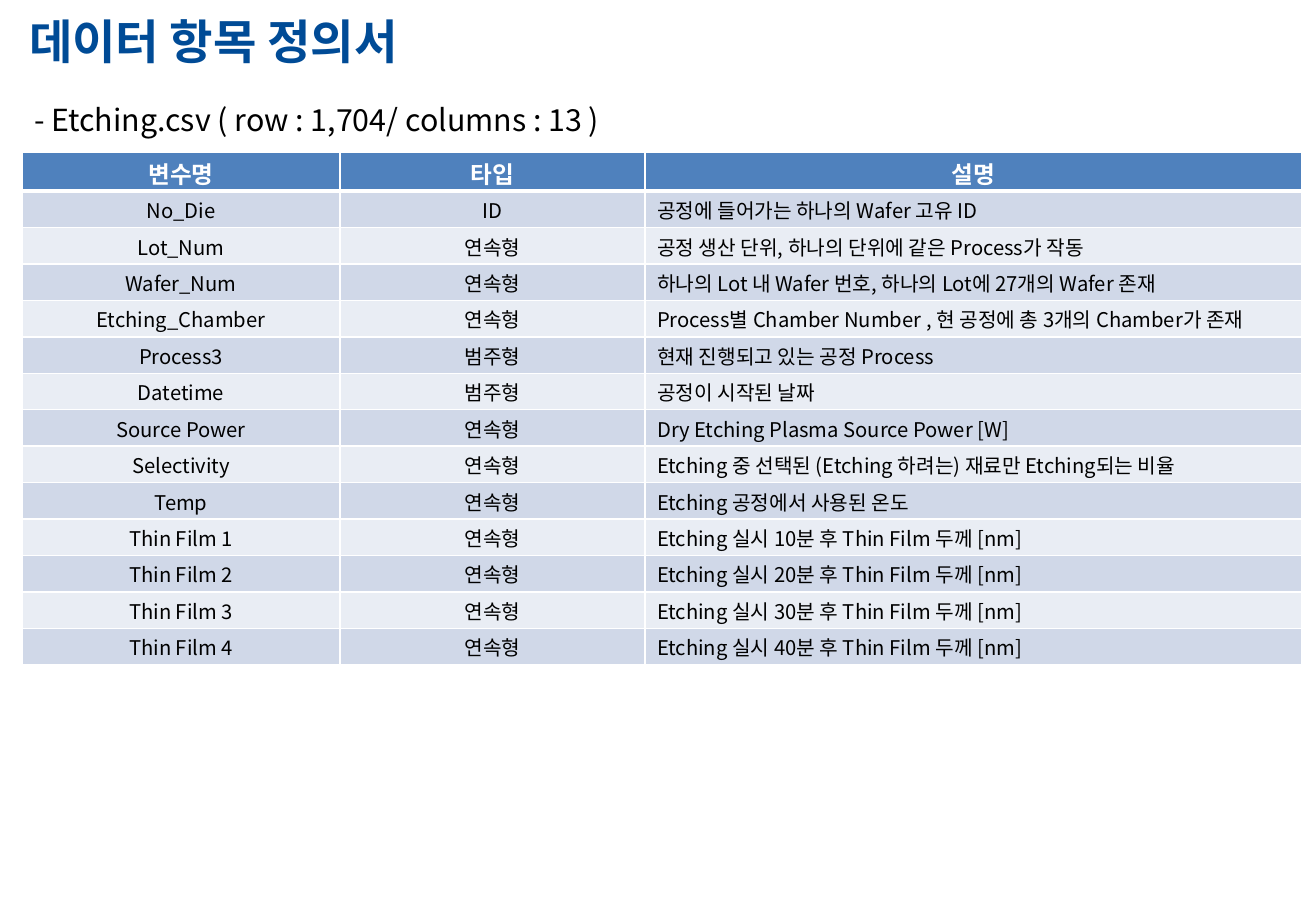
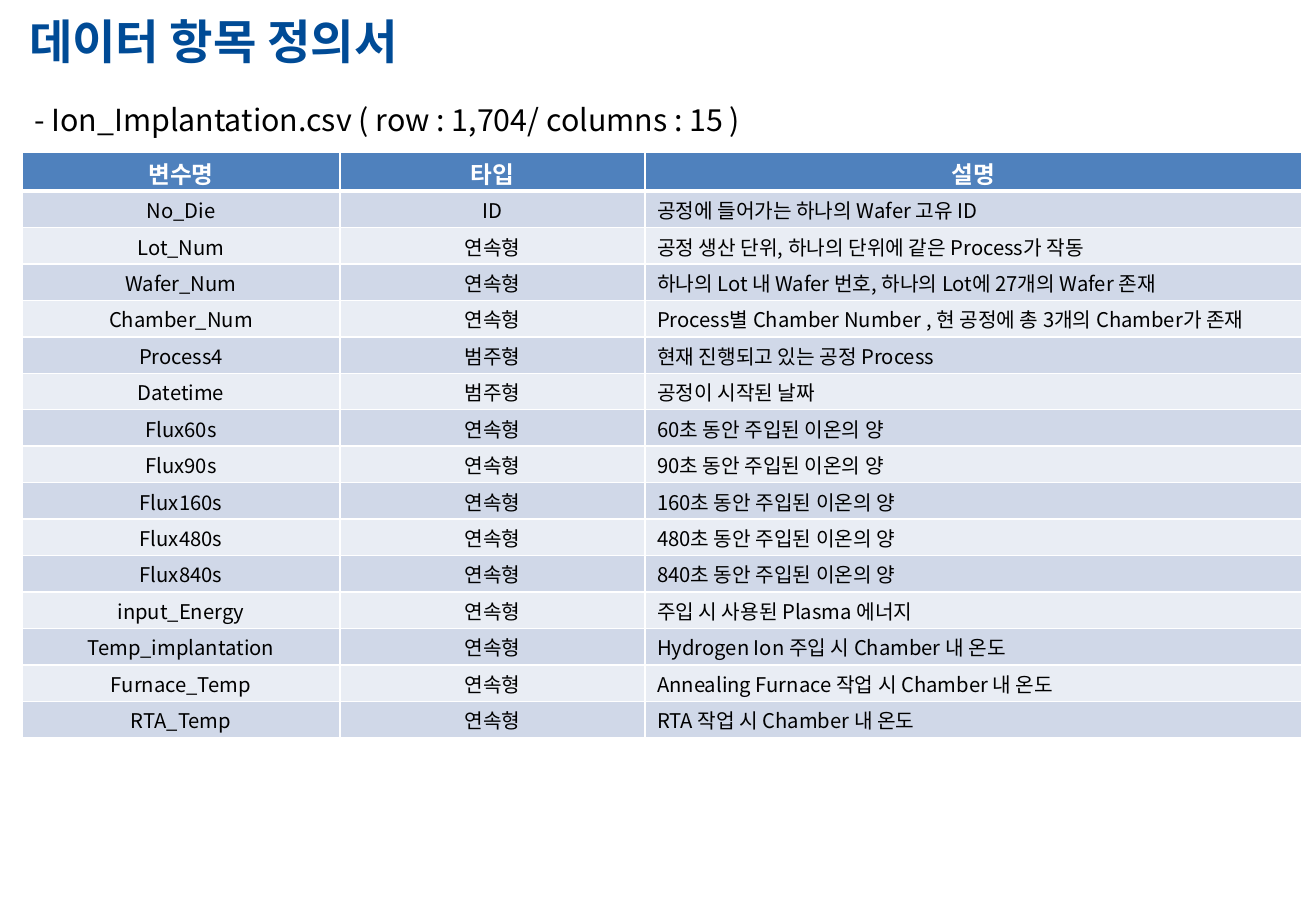
"""Builds two data dictionary slides, one for each process file."""
import dataclasses

import lxml.etree
import pptx
import pptx.dml.color
import pptx.enum.text
import pptx.oxml.ns
import pptx.util

Pt = pptx.util.Pt
ALIGN = pptx.enum.text.PP_ALIGN
MIDDLE = pptx.enum.text.MSO_ANCHOR.MIDDLE


@dataclasses.dataclass(frozen=True)
class Theme:
    """Font, colours and type sizes shared by the slides."""
    font: str = "Noto Sans CJK KR"
    title_color: str = "004B96"
    text_color: str = "000000"
    white: str = "FFFFFF"
    header_fill: str = "4F81BD"
    band_fills: tuple = ("D0D8E8", "E9EDF4")
    title_size: int = 28
    subtitle_size: int = 18
    header_size: int = 14
    cell_size: int = 12
    rule: int = 1
    header_rule: int = 3


THEME = Theme()
TITLE = "데이터 항목 정의서"
HEADER = ("변수명", "타입", "설명")
COLUMN_WIDTHS = (188.6, 180.7, 389.5)
HEADER_HEIGHT, ROW_HEIGHT = 23.3, 21.6
TABLE_LEFT, TABLE_TOP = 13, 90
NUMERIC, CATEGORY = "연속형", "범주형"

ETCHING = [
    ("Source Power", NUMERIC, "Dry Etching Plasma Source Power [W]"),
    ("Selectivity", NUMERIC,
     "Etching 중 선택된 (Etching 하려는) 재료만 Etching되는 비율"),
    ("Temp", NUMERIC, "Etching 공정에서 사용된 온도"),
] + [
    (f"Thin Film {step}", NUMERIC,
     f"Etching 실시 {step * 10}분 후 Thin Film 두께 [nm]")
    for step in range(1, 5)
]

IMPLANTATION = [
    (f"Flux{seconds}s", NUMERIC, f"{seconds}초 동안 주입된 이온의 양")
    for seconds in (60, 90, 160, 480, 840)
] + [
    ("input_Energy", NUMERIC, "주입 시 사용된 Plasma 에너지"),
    ("Temp_implantation", NUMERIC, "Hydrogen Ion 주입 시 Chamber 내 온도"),
    ("Furnace_Temp", NUMERIC, "Annealing Furnace 작업 시 Chamber 내 온도"),
    ("RTA_Temp", NUMERIC, "RTA 작업 시 Chamber 내 온도"),
]


def common_rows(chamber, process):
    """Return the six variables that every process file starts with."""
    return [
        ("No_Die", "ID", "공정에 들어가는 하나의 Wafer 고유 ID"),
        ("Lot_Num", NUMERIC, "공정 생산 단위, 하나의 단위에 같은 Process가 작동"),
        ("Wafer_Num", NUMERIC, "하나의 Lot 내 Wafer 번호, 하나의 Lot에 27개의 Wafer 존재"),
        (chamber, NUMERIC,
         "Process별 Chamber Number , 현 공정에 총 3개의 Chamber가 존재"),
        (process, CATEGORY, "현재 진행되고 있는 공정 Process"),
        ("Datetime", CATEGORY, "공정이 시작된 날짜"),
    ]


def write_text(frame, text, *, size, color=THEME.text_color, bold=False,
               align=ALIGN.LEFT):
    """Write one formatted paragraph into a text frame and return it."""
    para = frame.paragraphs[0]
    para.alignment = align
    para.space_before = Pt(0)
    span = para.add_run()
    span.text = text
    span.font.name = THEME.font
    span.font.size = Pt(size)
    span.font.bold = bold
    span.font.color.rgb = pptx.dml.color.RGBColor.from_string(color)
    east_asian = lxml.etree.SubElement(
        span.font._element, pptx.oxml.ns.qn("a:ea"))
    east_asian.set("typeface", THEME.font)
    return para


def place_heading(box, text, left, top, width, height, **style):
    """Move a placeholder and fill it with one unbulleted line."""
    box.left, box.top = Pt(left), Pt(top)
    box.width, box.height = Pt(width), Pt(height)
    frame = box.text_frame
    frame.auto_size = pptx.enum.text.MSO_AUTO_SIZE.NONE
    frame.word_wrap = True
    frame.vertical_anchor = MIDDLE
    frame.margin_top = frame.margin_bottom = 0
    properties = write_text(frame, text, **style)._p.get_or_add_pPr()
    properties.set("marL", "0")
    properties.set("indent", "0")
    lxml.etree.SubElement(properties, pptx.oxml.ns.qn("a:buNone"))


def set_borders(cell, top, bottom):
    """Give a cell white borders with the top and bottom widths stated."""
    properties = cell._tc.get_or_add_tcPr()
    widths = {"L": THEME.rule, "R": THEME.rule, "T": top, "B": bottom}
    for side, width in widths.items():
        line = lxml.etree.SubElement(
            properties, pptx.oxml.ns.qn(f"a:ln{side}"), w=str(int(Pt(width))))
        fill = lxml.etree.SubElement(line, pptx.oxml.ns.qn("a:solidFill"))
        lxml.etree.SubElement(
            fill, pptx.oxml.ns.qn("a:srgbClr"), val=THEME.white)


def format_cell(cell, text, fill, top, bottom, **style):
    """Write a table cell with its margins, borders and fill."""
    cell.margin_top, cell.margin_bottom = Pt(2.4), Pt(0.4)
    if style["align"] == ALIGN.LEFT:
        cell.margin_right = 0
    set_borders(cell, top, bottom)
    cell.fill.solid()
    cell.fill.fore_color.rgb = pptx.dml.color.RGBColor.from_string(fill)
    write_text(cell.text_frame, text, **style)


def add_variable_table(page, rows):
    """Add the banded table of variables under its header row."""
    height = HEADER_HEIGHT + ROW_HEIGHT * len(rows)
    table = page.shapes.add_table(
        len(rows) + 1, len(HEADER), Pt(TABLE_LEFT), Pt(TABLE_TOP),
        Pt(sum(COLUMN_WIDTHS)), Pt(height)).table
    for column, width in zip(table.columns, COLUMN_WIDTHS):
        column.width = Pt(width)
    for index, row in enumerate([HEADER, *rows]):
        is_header = index == 0
        table.rows[index].height = Pt(HEADER_HEIGHT if is_header else ROW_HEIGHT)
        for position, text in enumerate(row):
            centred = is_header or position < 2
            format_cell(
                table.cell(index, position), text,
                THEME.header_fill if is_header else THEME.band_fills[(index - 1) % 2],
                THEME.header_rule if index == 1 else THEME.rule,
                THEME.header_rule if is_header else THEME.rule,
                size=THEME.header_size if is_header else THEME.cell_size,
                color=THEME.white if is_header else THEME.text_color,
                bold=is_header,
                align=ALIGN.CENTER if centred else ALIGN.LEFT)


def add_definition_page(deck, file_name, rows):
    """Add a slide that defines the variables of one file."""
    page = deck.slides.add_slide(deck.slide_layouts[1])
    place_heading(page.shapes.title, TITLE, 10, 3.6, 522, 41,
                  size=THEME.title_size, color=THEME.title_color, bold=True)
    place_heading(page.placeholders[1],
                  f"- {file_name} ( row : 1,704/ columns : {len(rows)} )",
                  13, 56, 500, 29, size=THEME.subtitle_size)
    add_variable_table(page, rows)


def main():
    """Build and save the deck."""
    deck = pptx.Presentation()
    deck.slide_width, deck.slide_height = Pt(780), Pt(540)
    add_definition_page(deck, "Etching.csv",
                        common_rows("Etching_Chamber", "Process3") + ETCHING)
    add_definition_page(deck, "Ion_Implantation.csv",
                        common_rows("Chamber_Num", "Process4") + IMPLANTATION)
    deck.save("out.pptx")


main()
